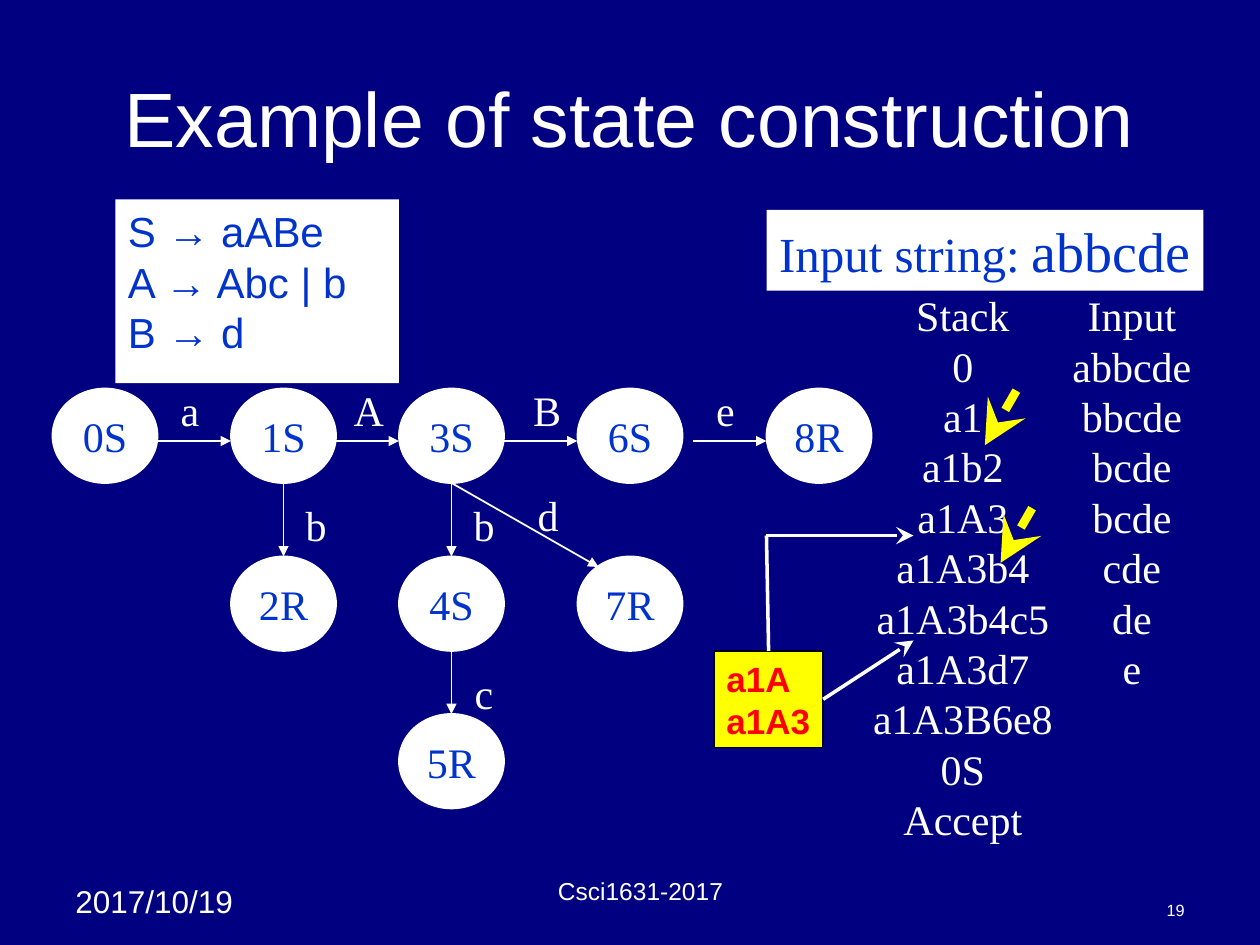
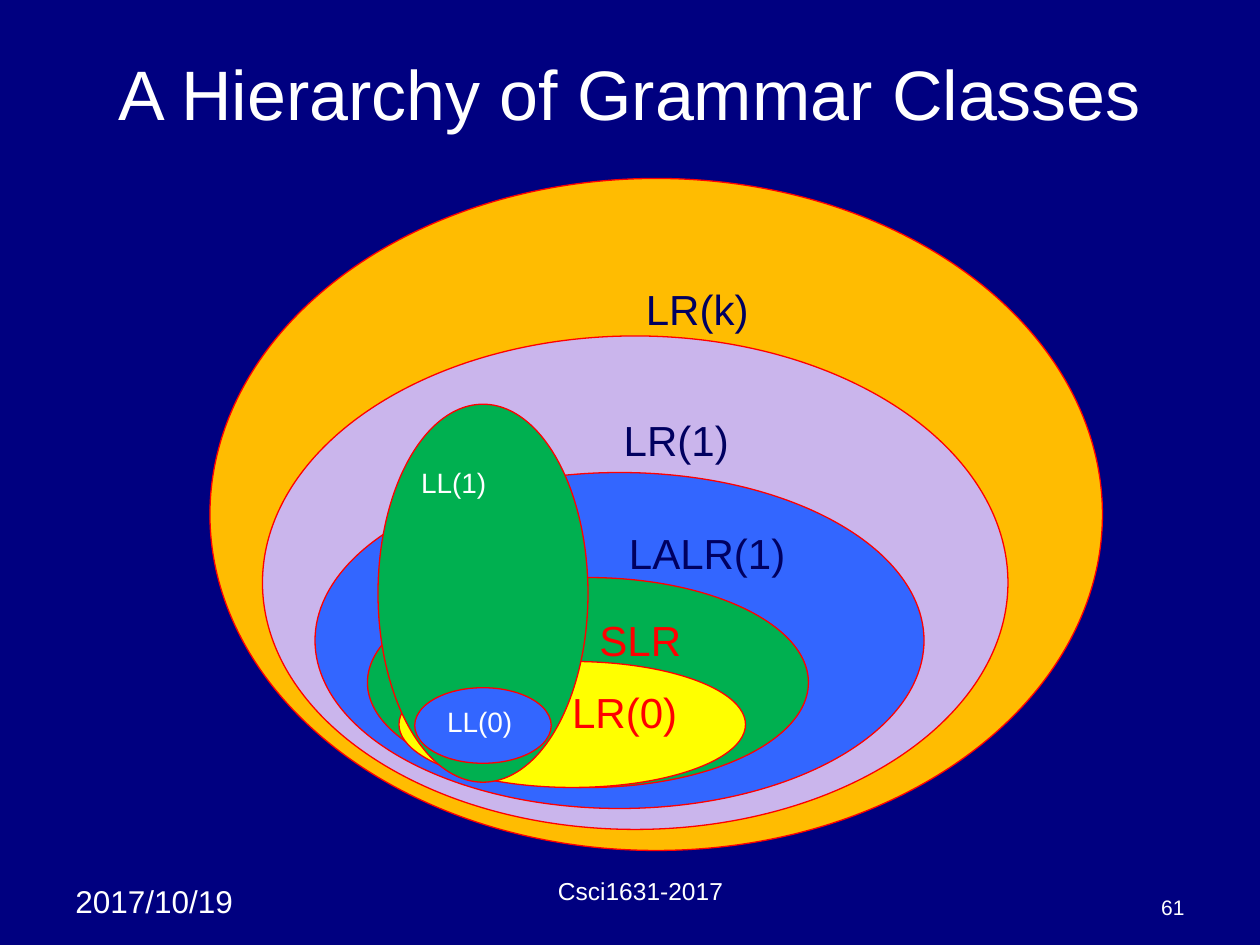
from dataclasses import dataclass

from lxml.etree import SubElement
from pptx import Presentation
from pptx.dml.color import RGBColor
from pptx.enum.shapes import MSO_CONNECTOR, MSO_SHAPE
from pptx.enum.text import MSO_ANCHOR, PP_ALIGN
from pptx.oxml.ns import qn
from pptx.util import Inches, Pt


@dataclass(frozen=True)
class Theme:
    background: str = "000080"
    white: str = "FFFFFF"
    ink: str = "0033CC"
    navy: str = "000060"
    red: str = "FF0000"
    yellow: str = "FFFF00"
    orange: str = "FFBC01"
    lilac: str = "CAB5EC"
    blue: str = "3366FF"
    green: str = "00B050"
    black: str = "000000"
    sans: str = "Arial"
    serif: str = "Times New Roman"
    title: float = 44
    long_title: float = 40
    input_string: float = 32
    input_label: float = 28
    body: float = 24
    callout: float = 20
    date: float = 18
    small: float = 16
    course: float = 14
    number: float = 12
    small_number: float = 9.3
    leading: float = 1.2


THEME = Theme()
WIDTH, HEIGHT = Inches(10), Inches(7.5)
COLUMNS, ROWS = 120, 90

STATE_COLUMNS = (5, 22, 38, 55, 73)
STATE_ROWS = (37, 53, 68)
STATE_SIZE = (10, 9)
ARROW_SPAN = 7
STATES = {
    "0S": (0, 0), "1S": (1, 0), "3S": (2, 0), "6S": (3, 0), "8R": (4, 0),
    "2R": (1, 1), "4S": (2, 1), "7R": (3, 1), "5R": (2, 2),
}
ACROSS = ("1S", "3S", "6S", "8R")
DOWN = ("2R", "4S", "5R")
EDGE_LABELS = (
    ("a", 18.1, 36), ("A", 35, 36), ("B", 52.1, 36), ("e", 69.1, 36),
    ("b", 30.1, 47), ("b", 46.1, 47), ("c", 46.1, 63), ("d", 52.2, 46),
)
GRAMMAR = ("S → aABe", "A → Abc | b", "B → d")
STACK = ("Stack", "0", "a1", "a1b2", "a1A3", "a1A3b4", "a1A3b4c5",
         "a1A3d7", "a1A3B6e8", "0S", "Accept")
INPUT = ("Input", "abbcde", "bbcde", "bcde", "bcde", "cde", "de", "e")


def across(columns):
    return round(WIDTH * columns / COLUMNS)


def down(rows):
    return round(HEIGHT * rows / ROWS)


def place(left, top, width, height):
    return across(left), down(top), across(width), down(height)


def write(holder, paragraphs, size=THEME.body, font=THEME.sans, color=THEME.white,
          bold=False, align=PP_ALIGN.LEFT, anchor=MSO_ANCHOR.TOP, wrap=False, shift=0):
    frame = holder.text_frame
    frame.word_wrap = wrap
    frame.vertical_anchor = anchor
    frame.margin_left = Inches(0.1 + shift)
    for index, content in enumerate(paragraphs):
        paragraph = frame.paragraphs[0] if index == 0 else frame.add_paragraph()
        paragraph.alignment = align
        runs = [(content, size)] if isinstance(content, str) else content
        paragraph.line_spacing = Pt(THEME.leading * max(points for _, points in runs))
        for words, points in runs:
            run = paragraph.add_run()
            run.text = words
            run.font.size = Pt(points)
            run.font.name = font
            run.font.bold = bold
            run.font.color.rgb = RGBColor.from_string(color)


def add_words(slide, box, paragraphs, **style):
    write(slide.shapes.add_textbox(*place(*box)), paragraphs, **style)


def add_figure(slide, kind, box, fill, paragraphs, line=None, weight=0.75, **style):
    figure = slide.shapes.add_shape(kind, *place(*box))
    figure.shadow.inherit = False
    figure.fill.solid()
    figure.fill.fore_color.rgb = RGBColor.from_string(fill)
    if line:
        figure.line.color.rgb = RGBColor.from_string(line)
        figure.line.width = Pt(weight)
    else:
        figure.line.fill.background()
    write(figure, paragraphs, **style)
    return figure


def add_line(slide, start, end, color=THEME.white, weight=1, head=None, head_size="med"):
    link = slide.shapes.add_connector(
        MSO_CONNECTOR.STRAIGHT, across(start[0]), down(start[1]), across(end[0]), down(end[1]))
    link.line.color.rgb = RGBColor.from_string(color)
    link.line.width = Pt(weight)
    properties = link.element.spPr
    if head:
        SubElement(properties.find(qn("a:ln")), qn("a:tailEnd"),
                   type=head, w=head_size, len=head_size)
    SubElement(properties, qn("a:effectLst"))
    return link


def start_slide(deck, title, title_rows, title_size, number, number_box, number_size):
    slide = deck.slides.add_slide(deck.slide_layouts[6])
    slide.background.fill.solid()
    slide.background.fill.fore_color.rgb = RGBColor.from_string(THEME.background)
    add_words(slide, (6, 83.4, 19, 4.8), ["2017/10/19"], size=THEME.date)
    add_words(slide, (42, 83.6, 38, 3.2), ["Csci1631-2017"], size=THEME.course,
              align=PP_ALIGN.CENTER, anchor=MSO_ANCHOR.BOTTOM, wrap=True)
    add_words(slide, number_box, [number], size=number_size,
              align=PP_ALIGN.RIGHT, anchor=MSO_ANCHOR.BOTTOM, wrap=True)
    add_words(slide, (6, 3.6, 108, title_rows), [title], size=title_size,
              align=PP_ALIGN.CENTER, anchor=MSO_ANCHOR.MIDDLE, wrap=True)
    return slide


def state_corner(state):
    column, row = STATES[state]
    return STATE_COLUMNS[column], STATE_ROWS[row]


def draw_automaton(slide):
    for state in STATES:
        add_figure(slide, MSO_SHAPE.OVAL, (*state_corner(state), *STATE_SIZE), THEME.white,
                   [state], line=THEME.white, weight=1, font=THEME.serif, color=THEME.ink,
                   align=PP_ALIGN.CENTER, anchor=MSO_ANCHOR.MIDDLE)
    for state in ACROSS:
        left, top = state_corner(state)
        add_line(slide, (left - ARROW_SPAN, top + 5), (left, top + 5), head="triangle")
    for state in DOWN:
        left, top = state_corner(state)
        add_line(slide, (left + 5, top - ARROW_SPAN), (left + 5, top), head="triangle")
    add_line(slide, (43, 46), (57, 54), head="triangle")
    for symbol, center, top in EDGE_LABELS:
        add_words(slide, (center - 2.5, top, 5, 6), [symbol], font=THEME.serif,
                  align=PP_ALIGN.CENTER)


def draw_trace(slide):
    add_figure(slide, MSO_SHAPE.RECTANGLE, (73, 20, 41.6, 7.7), THEME.white,
               [[("Input string: ", THEME.input_label), ("abbcde", THEME.input_string)]],
               font=THEME.serif, color=THEME.ink, align=PP_ALIGN.CENTER)
    add_words(slide, (80.7, 27, 22, 54), STACK, font=THEME.serif, align=PP_ALIGN.CENTER)
    add_words(slide, (100.8, 27, 14, 44.4), INPUT, font=THEME.serif, align=PP_ALIGN.CENTER)


def draw_reductions(slide):
    prefixes = add_figure(slide, MSO_SHAPE.RECTANGLE, (68, 62, 10.4, 9.2), THEME.yellow,
                          ["a1A", "a1A3"], line=THEME.black, size=THEME.callout,
                          color=THEME.red, bold=True)
    pointer = dict(weight=2, head="stealth", head_size="lg")
    to_reduced = add_line(slide, (78.4, 66.6), (87, 61), **pointer)
    to_reduced.begin_connect(prefixes, 3)
    riser = add_line(slide, (73.2, 62), (73, 51), weight=2)
    riser.begin_connect(prefixes, 0)
    add_line(slide, (73, 51), (87, 51), **pointer)
    for left, top in ((93.8, 37.2), (95.3, 48.4)):
        add_line(slide, (left + 3, top), (left, top + 5.2), color=THEME.yellow,
                 weight=5, head="stealth", head_size="lg")


def build_state_construction(deck):
    slide = start_slide(deck, "Example of state construction", 15, THEME.title,
                        "19", (106, 85, 8, 3.2), THEME.small_number)
    add_figure(slide, MSO_SHAPE.RECTANGLE, (11, 19, 27, 17.5), THEME.white,
               GRAMMAR, color=THEME.ink)
    draw_automaton(slide)
    draw_trace(slide)
    draw_reductions(slide)


def build_hierarchy(deck):
    slide = start_slide(deck, "A Hierarchy of Grammar Classes", 10.4, THEME.long_title,
                        "61", (103, 83, 11, 5.2), THEME.number)
    lr_classes = (
        ("LR(k)", (20, 17, 85, 64), THEME.orange, THEME.navy, 0.65),
        ("LR(1)", (25, 32, 71, 47), THEME.lilac, THEME.navy, 0.65),
        ("LALR(1)", (30, 45, 58, 32), THEME.blue, THEME.navy, 1.39),
        ("SLR", (35, 55, 42, 20), THEME.green, THEME.red, 0.83),
        ("LR(0)", (38, 63, 33, 12), THEME.yellow, THEME.red, 0.83),
    )
    for name, box, fill, color, shift in lr_classes:
        add_figure(slide, MSO_SHAPE.OVAL, box, fill, [name], line=THEME.red, color=color,
                   align=PP_ALIGN.CENTER, wrap=True, shift=shift)
    ll_classes = (
        ("LL(1)", (36, 38.5, 20, 36), THEME.green),
        ("LL(0)", (39.5, 65.5, 13, 7.2), THEME.blue),
    )
    for name, box, fill in ll_classes:
        add_figure(slide, MSO_SHAPE.OVAL, box, fill, [name], line=THEME.red,
                   size=THEME.small, wrap=True)


def main():
    deck = Presentation()
    deck.slide_width, deck.slide_height = WIDTH, HEIGHT
    build_state_construction(deck)
    build_hierarchy(deck)
    deck.save("out.pptx")


if __name__ == "__main__":
    main()
